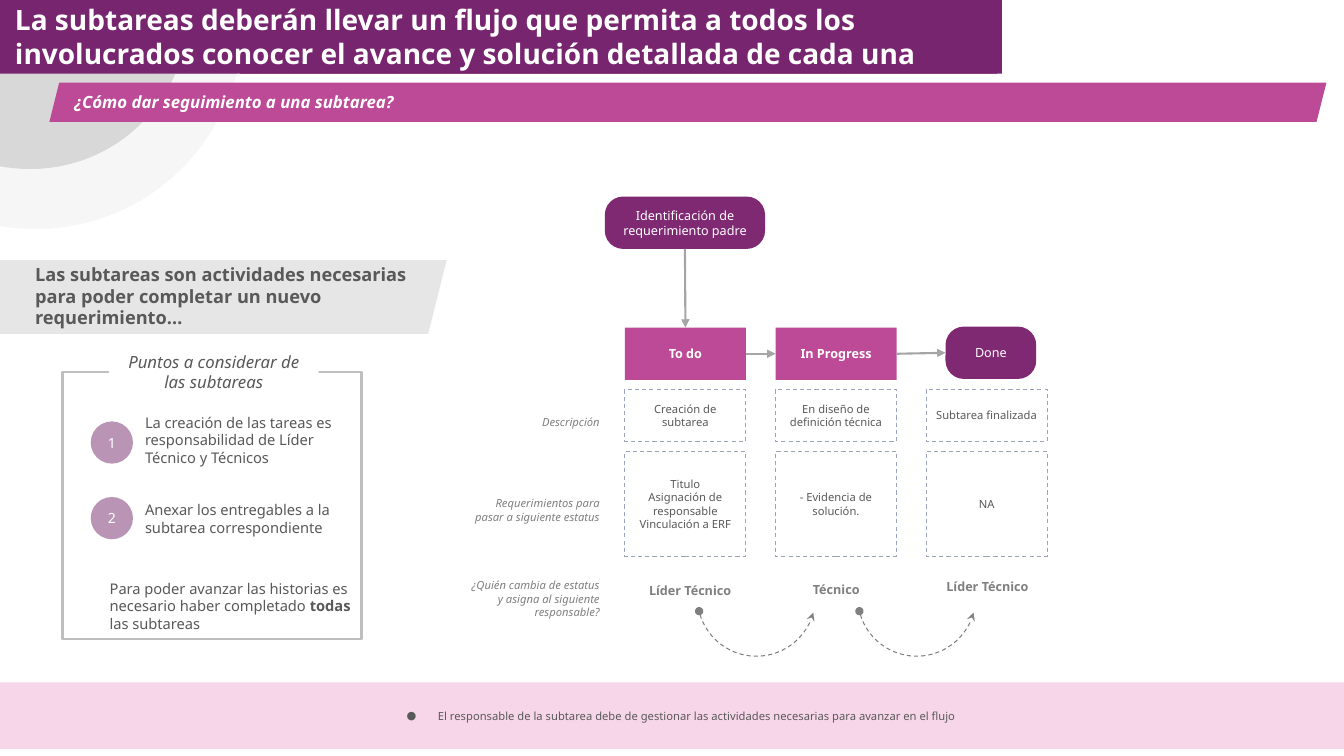
from pptx import Presentation
from pptx.dml.color import RGBColor
from pptx.enum.dml import MSO_LINE
from pptx.enum.shapes import MSO_CONNECTOR, MSO_SHAPE
from pptx.enum.text import MSO_ANCHOR, PP_ALIGN
from pptx.oxml.ns import qn
from pptx.util import Pt
from lxml import etree

RECT, ROUND, OVAL = MSO_SHAPE.RECTANGLE, MSO_SHAPE.ROUNDED_RECTANGLE, MSO_SHAPE.OVAL
SLANTED, CHORD, ARC = MSO_SHAPE.PARALLELOGRAM, MSO_SHAPE.CHORD, MSO_SHAPE.ARC
LEFT, CENTER, RIGHT = PP_ALIGN.LEFT, PP_ALIGN.CENTER, PP_ALIGN.RIGHT
TOP, MIDDLE = MSO_ANCHOR.TOP, MSO_ANCHOR.MIDDLE
STRAIGHT, DASH = MSO_CONNECTOR.STRAIGHT, MSO_LINE.DASH

FONT = "Noto Sans"
PURPLE, DEEP, PINK, MAUVE = "78256F", "802973", "BD4A96", "BA94B4"
WHITE, DARK, GRAY, ARROW = "FFFFFF", "595959", "7F7F7F", "A5A5A5"

TITLE = ("La subtareas deberán llevar un flujo que permita a todos los involucrados "
         "conocer el avance y solución detallada de cada una")
SUBTITLE = "¿Cómo dar seguimiento a una subtarea?"
INTRO = ("Las subtareas son actividades necesarias para poder completar un nuevo "
         "requerimiento…")
POINTS_TITLE = "Puntos a considerar de las subtareas"
POINTS = [
    ("1", 301, 301, "La creación de las tareas es responsabilidad de Líder Técnico y Técnicos"),
    ("2", 355, 357.1, "Anexar los entregables a la subtarea correspondiente"),
]
CONDITION = ["Para poder avanzar las historias es necesario haber completado ",
             "todas ", "las subtareas"]
START = "Identificación de requerimiento padre"
STATES = ["To do", "In Progress"]
FINAL_STATE = "Done"
CARD_ROWS = [
    (277.9, 37.4, ["Creación de subtarea", "En diseño de definición técnica",
                   "Subtarea finalizada"]),
    (322.6, 74.9, ["Titulo\vAsignación de responsable\vVinculación a ERF",
                   "- Evidencia de solución.", "NA"]),
]
ROW_LABELS = [
    (285.8, "Descripción"),
    (348.5, "Requerimientos para pasar a siguiente estatus"),
    (411.8, "¿Quién cambia de estatus y asigna al siguiente responsable?"),
]
OWNERS = [(437.8, 406.1, "Líder Técnico"), (542.2, 405.4, "Técnico"),
          (650.2, 403.2, "Líder Técnico")]
HANDOVERS = [498.2, 612.7]
FOOTER = ("El responsable de la subtarea debe de gestionar las actividades necesarias "
          "para avanzar en el flujo")

COLUMN_LEFT, COLUMN_STEP, COLUMN_WIDTH, STATE_HEIGHT = 446.4, 107.6, 86.4, 37.4

deck = Presentation()
deck.slide_width, deck.slide_height = Pt(960), Pt(540)
page = deck.slides.add_slide(deck.slide_layouts[6])


def color(value):
    return RGBColor.from_string(value)


def write(shape, pieces, size, ink, align=CENTER, bold=False, italic=False,
          inset=3.6, anchor=MIDDLE):
    frame = shape.text_frame
    frame.word_wrap = True
    frame.vertical_anchor = anchor
    frame.margin_left = frame.margin_right = Pt(7.2)
    frame.margin_top = frame.margin_bottom = Pt(inset)
    para = frame.paragraphs[0]
    para.alignment = align
    if isinstance(pieces, str):
        para.text = pieces
    else:
        for piece in pieces:
            para.add_run().text = piece
    for span in para.runs:
        font = span.font
        font.name, font.size, font.bold, font.italic = FONT, Pt(size), bold, italic
        font.color.rgb = color(ink)
    return para


def draw(kind, left, top, width, height, fill=None, line=None, weight=1, dash=None,
         adjust=()):
    shape = page.shapes.add_shape(kind, Pt(left), Pt(top), Pt(width), Pt(height))
    shape.shadow.inherit = False
    for index, value in enumerate(adjust):
        shape.adjustments[index] = value
    if fill:
        shape.fill.solid()
        shape.fill.fore_color.rgb = color(fill)
    else:
        shape.fill.background()
    if line:
        shape.line.color.rgb = color(line)
        shape.line.width = Pt(weight)
        if dash:
            shape.line.dash_style = dash
    else:
        shape.line.fill.background()
    return shape


def label(left, top, width, height, pieces, size, ink, **style):
    box = page.shapes.add_textbox(Pt(left), Pt(top), Pt(width), Pt(height))
    return write(box, pieces, size, ink, inset=7.2, **style)


def add_end(shape, end, kind):
    etree.SubElement(shape.line._get_or_add_ln(), qn("a:" + end), type=kind)


def join(start, start_side, finish, finish_side):
    arrow = page.shapes.add_connector(STRAIGHT, 0, 0, 0, 0)
    arrow.begin_connect(start, start_side)
    arrow.end_connect(finish, finish_side)
    arrow.line.color.rgb = color(ARROW)
    arrow.line.width = Pt(1.5)
    add_end(arrow, "tailEnd", "triangle")
    etree.SubElement(arrow._element.spPr, qn("a:effectLst"))


draw(RECT, 0, -0.7, 715.7, 53.3, PURPLE)
halo = draw(CHORD, -163.4, -169.2, 352.8, 321.1, "F2F2F2", WHITE, 2, adjust=(151.4, 64.51))
tint = halo._element.spPr.find(qn("a:solidFill"))[0]
etree.SubElement(tint, qn("a:alpha"), val="67000")
core = draw(CHORD, -122.4, -133.2, 268.6, 244.1, "D8D8D8", adjust=(148.33, 67.19))
halo.rotation = core.rotation = 63.1
draw(SLANTED, 35.3, 59, 912.2, 28.1, PINK, adjust=[0.25])
draw(RECT, 0, 0, 712.1, 52.6, PURPLE)
label(3.6, -5.8, 712.1, 63.4, TITLE, 20, WHITE, align=LEFT, bold=True)
label(46.1, 56.2, 707, 33.1, SUBTITLE, 12, WHITE, align=LEFT, bold=True, italic=True)

draw(RECT, 44.6, 265.7, 213.8, 190.8, line="BFBFBF", weight=2)
heading = draw(RECT, 77.8, 250.6, 149.8, 30.2, WHITE)
write(heading, POINTS_TITLE, 12, DARK, italic=True, inset=7.2)
for number, badge_top, text_top, text in POINTS:
    write(draw(OVAL, 64.8, badge_top, 30.2, 30.2, MAUVE), number, 10, WHITE)
    label(96.5, text_top, 149.8, 26.6, text, 10.5, DARK, align=LEFT)
condition = label(71.3, 409, 186.5, 47.5, CONDITION, 10.5, DARK, align=LEFT)
condition.runs[1].font.bold = True
draw(SLANTED, -23, 185.8, 342, 52.6, "E7E6E6", adjust=[0.25])
label(18, 180.7, 289.4, 61.9, INTRO, 13, DARK, align=LEFT, bold=True, anchor=TOP)

start = draw(ROUND, 432, 140.4, 114.5, STATE_HEIGHT, DEEP, adjust=[0.35])
write(start, START, 9, WHITE)
steps = []
for column, state in enumerate(STATES):
    step = draw(ROUND, COLUMN_LEFT + column * COLUMN_STEP, 234, COLUMN_WIDTH, STATE_HEIGHT,
                PINK, adjust=[0])
    write(step, state, 9, WHITE, bold=True)
    steps.append(step)
done = draw(ROUND, 675.4, 233.3, 64.8, STATE_HEIGHT, DEEP, adjust=[0.35])
write(done, FINAL_STATE, 9, WHITE)
join(start, 2, steps[0], 0)
join(steps[0], 3, steps[1], 1)
join(steps[1], 3, done, 1)

for top, height, cards in CARD_ROWS:
    for column, text in enumerate(cards):
        card = draw(RECT, COLUMN_LEFT + column * COLUMN_STEP, top, COLUMN_WIDTH, height,
                    line="9AA3BA", weight=0.75, dash=DASH)
        write(card, text, 8, DARK)
for top, text in ROW_LABELS:
    label(325.4, top, 110.2, 31.7, text, 8, GRAY, align=RIGHT, italic=True)
for left, top, owner in OWNERS:
    label(left, top, 110.2, 31.7, owner, 9, GRAY, bold=True)
for left in HANDOVERS:
    curve = draw(ARC, left, 384.5, 84.2, 84.2, line=GRAY, weight=0.75, dash=DASH,
                 adjust=(116.2, 206.89))
    curve.rotation = 180
    curve._element.spPr.find(qn("a:xfrm")).set("flipH", "1")
    add_end(curve, "headEnd", "oval")
    add_end(curve, "tailEnd", "stealth")

footer = write(draw(RECT, 0, 487.4, 960, 47.5, "F8D6E9"), FOOTER, 8, DARK)
settings = footer._p.get_or_add_pPr()
settings.set("marL", str(Pt(36)))
settings.set("indent", str(Pt(-22.3)))
bullet_color = etree.SubElement(settings, qn("a:buClr"))
etree.SubElement(bullet_color, qn("a:srgbClr"), val=DARK)
etree.SubElement(settings, qn("a:buFont"), typeface=FONT)
etree.SubElement(settings, qn("a:buChar"), char="●")

deck.save("out.pptx")
